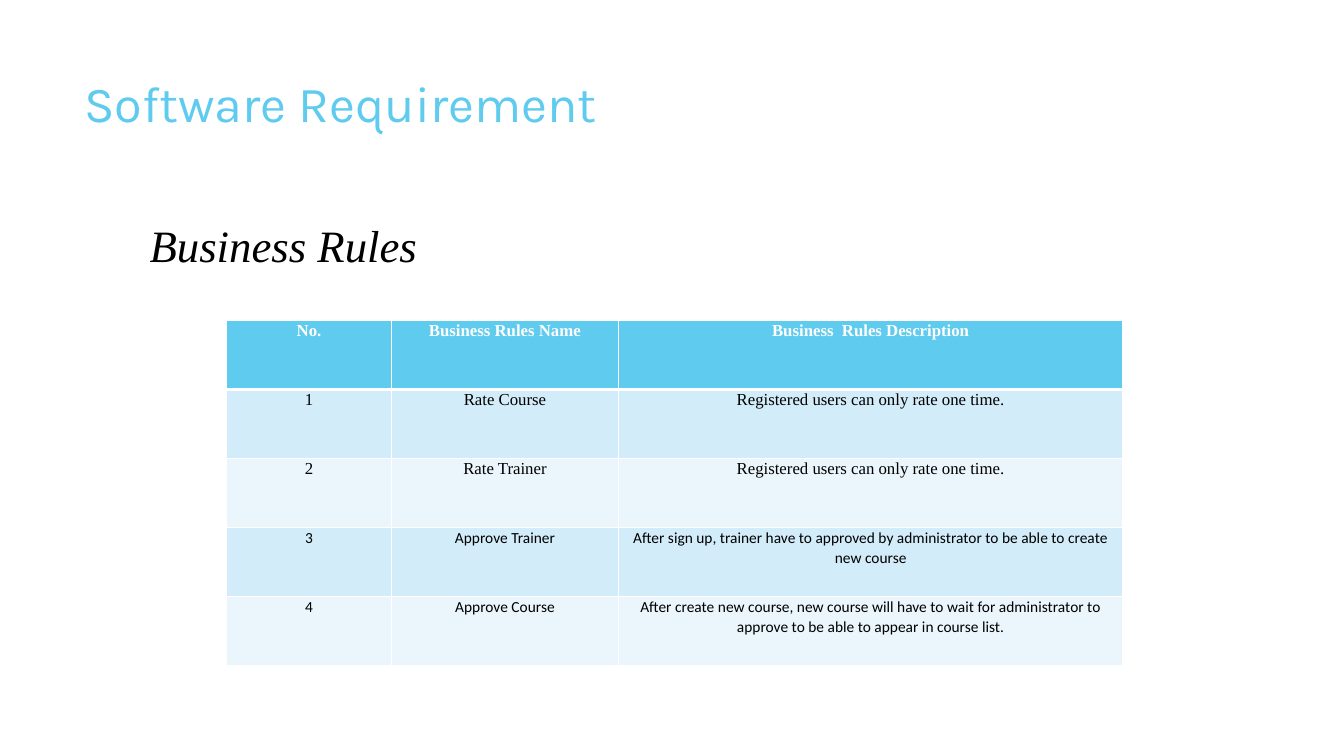
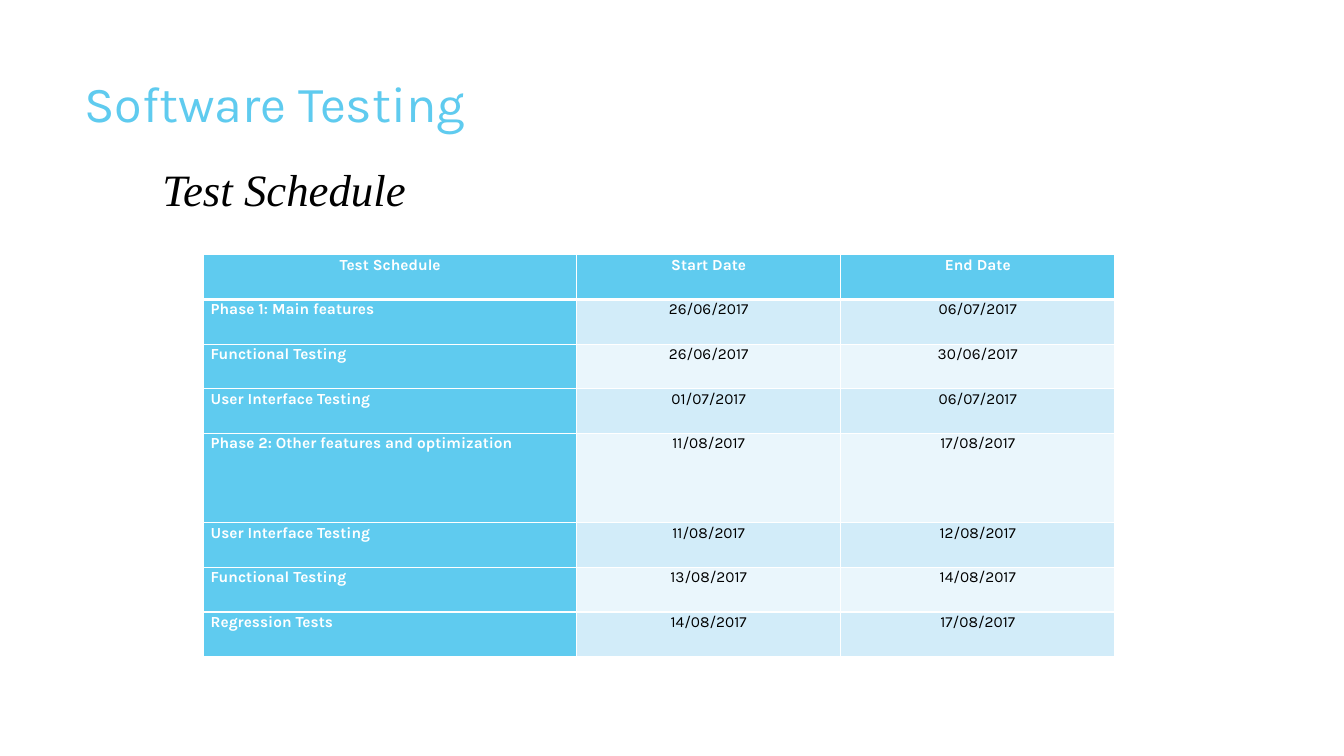
from lxml import etree
from pptx import Presentation
from pptx.dml.color import RGBColor
from pptx.enum.text import MSO_ANCHOR as Anchor, MSO_AUTO_SIZE as Fit, PP_ALIGN as Align
from pptx.oxml.ns import qn
from pptx.util import Pt

# Shared look
BLUE, PALE, FAINT = "5FCBEF", "D2ECF9", "EAF6FC"
WHITE, BLACK = "FFFFFF", "000000"
SERIF, SANS, PLAIN = "Times New Roman", "Karla", "Calibri"


def color(code):
    return RGBColor.from_string(code)


def style(para, name, size, code, align, bold=False, italic=False):
    para.alignment = align
    for run in para.runs:
        font = run.font
        font.name, font.size = name, Pt(size)
        font.bold, font.italic = bold, italic
        font.color.rgb = color(code)


# Slide content; fonts lists one (name, size) per table row
pages = [
    {
        "title": "Software Requirement",
        "head": "Business Rules",
        "box": (13, 152, 379, 46),
        "spot": (162, 229),
        "cols": [117.5, 162.5, 360],
        "rows": [49.25] * 5,
        "fonts": [(SERIF, 12)] * 3 + [(PLAIN, 11)] * 2,
        "after": 8,
        "side": False,
        "cells": [
            ["No.", "Business Rules Name", "Business  Rules Description"],
            ["1", "Rate Course", "Registered users can only rate one time."],
            ["2", "Rate Trainer", "Registered users can only rate one time."],
            ["3", "Approve Trainer", "After sign up, trainer have to approved by "
             "administrator to be able to create new course"],
            ["4", "Approve Course", "After create new course, new course will have to wait "
             "for administrator to approve to be able to appear in course list."],
        ],
    },
    {
        "title": "Software Testing",
        "head": "Test Schedule",
        "box": (53, 112, 300, 46),
        "spot": (145.5, 182),
        "cols": [266.5, 188.5, 196],
        "rows": [31.9] * 4 + [63.8] + [31.9] * 3,
        "fonts": [(SANS, 11)] * 8,
        "after": 0,
        "side": True,
        "cells": [
            ["Test Schedule", "Start Date", "End Date"],
            ["Phase 1: Main features", "26/06/2017", "06/07/2017"],
            ["Functional Testing", "26/06/2017", "30/06/2017"],
            ["User Interface Testing", "01/07/2017", "06/07/2017"],
            ["Phase 2: Other features and optimization", "11/08/2017", "17/08/2017"],
            ["User Interface Testing", "11/08/2017", "12/08/2017"],
            ["Functional Testing", "13/08/2017", "14/08/2017"],
            ["Regression Tests", "14/08/2017", "17/08/2017"],
        ],
    },
]

deck = Presentation()
deck.slide_width, deck.slide_height = Pt(960), Pt(540)

for page in pages:
    slide = deck.slides.add_slide(deck.slide_layouts[5])

    # Title
    title = slide.shapes.title
    title.left, title.top, title.width, title.height = Pt(53), Pt(48), Pt(677), Pt(104)
    frame = title.text_frame
    frame.text = page["title"]
    frame.vertical_anchor = Anchor.TOP
    style(frame.paragraphs[0], SANS, 36, BLUE, Align.LEFT)

    # Section heading
    box = slide.shapes.add_textbox(*map(Pt, page["box"]))
    frame = box.text_frame
    frame.word_wrap = True
    frame.auto_size = Fit.SHAPE_TO_FIT_TEXT
    frame.text = page["head"]
    style(frame.paragraphs[0], SERIF, 32, BLACK, Align.CENTER, italic=True)

    # Table grid
    cols, rows = page["cols"], page["rows"]
    left, top = page["spot"]
    table = slide.shapes.add_table(len(rows), len(cols), Pt(left), Pt(top),
                                   Pt(sum(cols)), Pt(sum(rows))).table
    table.first_col = page["side"]
    for col, width in zip(table.columns, cols):
        col.width = Pt(width)
    for row, height in zip(table.rows, rows):
        row.height = Pt(height)

    # Table cells
    for r, texts in enumerate(page["cells"]):
        name, size = page["fonts"][r]
        for c, text in enumerate(texts):
            cell = table.cell(r, c)
            label = page["side"] and c == 0 and r > 0
            strong = r == 0 or label
            cell.margin_left = cell.margin_right = Pt(5)
            cell.margin_top = cell.margin_bottom = 0
            cell.text_frame.text = text
            para = cell.text_frame.paragraphs[0]
            para.line_spacing, para.space_after = 1.07, Pt(page["after"])
            style(para, name, size, WHITE if strong else BLACK,
                  Align.LEFT if label else Align.CENTER, bold=strong)

            # White borders, thick below the header row
            props = cell._tc.get_or_add_tcPr()
            for edge in ("lnL", "lnR", "lnT", "lnB"):
                thick = (r, edge) in ((0, "lnB"), (1, "lnT"))
                line = etree.SubElement(props, qn("a:" + edge), w=str(Pt(3 if thick else 1)))
                fill = etree.SubElement(line, qn("a:solidFill"))
                etree.SubElement(fill, qn("a:srgbClr"), val=WHITE)
            cell.fill.solid()
            cell.fill.fore_color.rgb = color(BLUE if strong else PALE if r % 2 else FAINT)

deck.save("out.pptx")
